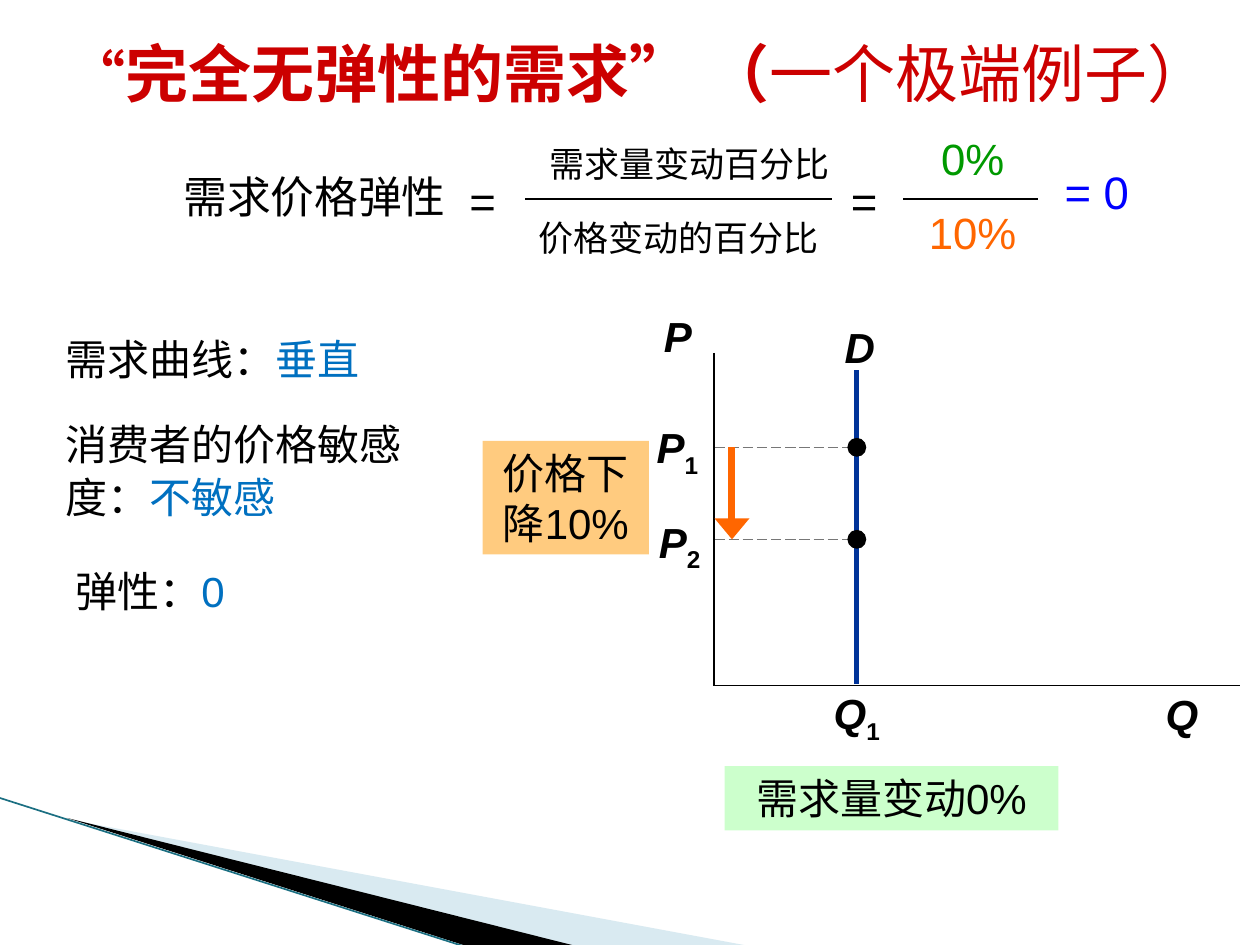
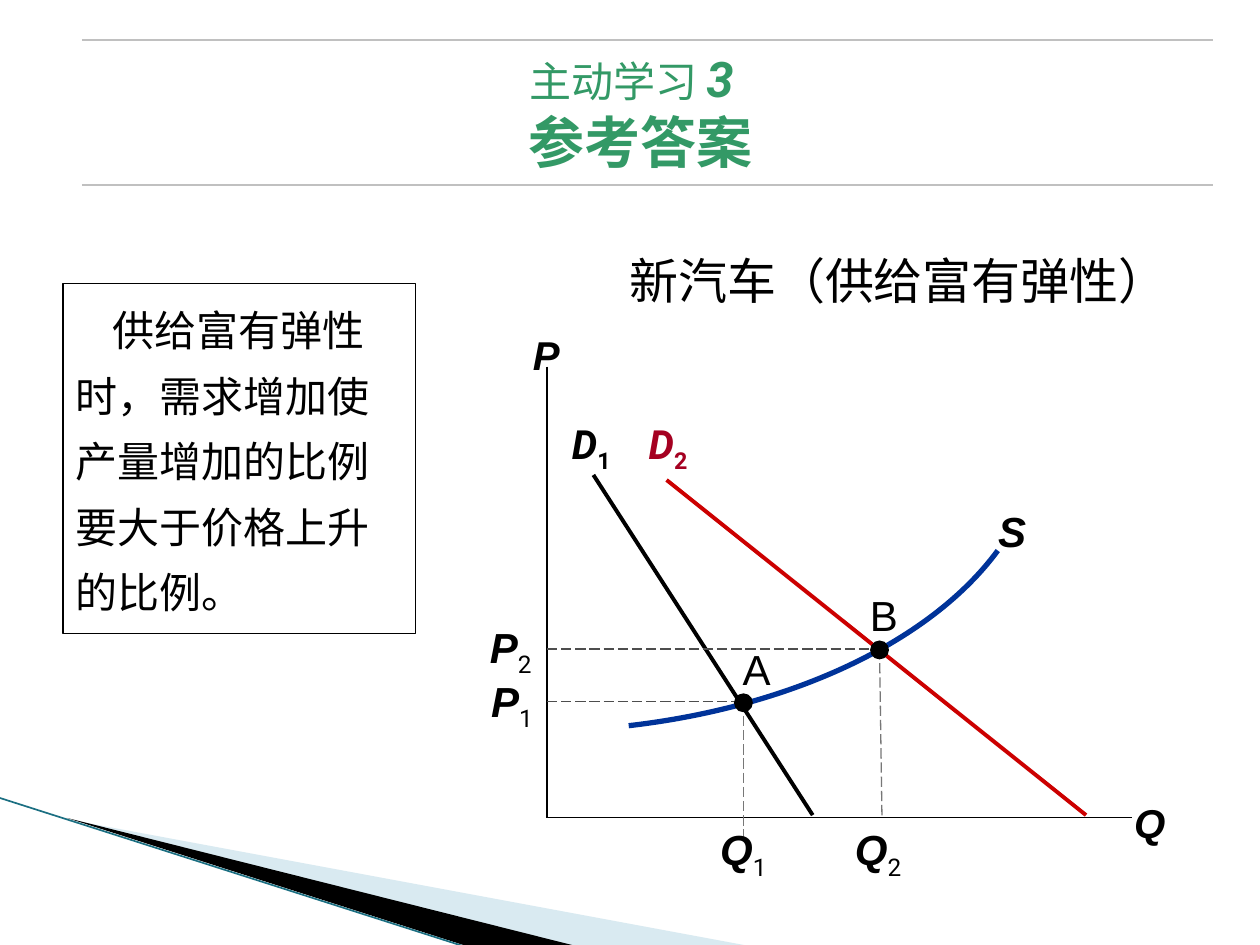
from lxml.etree import SubElement
from pptx import Presentation
from pptx.dml.color import RGBColor
from pptx.enum.dml import MSO_LINE
from pptx.enum.shapes import MSO_CONNECTOR, MSO_SHAPE
from pptx.enum.text import MSO_ANCHOR, PP_ALIGN
from pptx.oxml.ns import qn
from pptx.util import Pt

BLACK, WHITE, BLUE, RED = "000000", "FFFFFF", "003399", "CC0000"
ORANGE, GREEN, SKY = "FF6600", "339966", "0070C0"
GREY, DARK, SILVER = "777777", "4D4D4D", "C0C0C0"
LEFT, MID, RIGHT = PP_ALIGN.LEFT, PP_ALIGN.CENTER, PP_ALIGN.RIGHT
HAN, MONO = "Noto Sans CJK SC", "DejaVu Sans Mono"


def tint(target, hue):
    target.rgb = RGBColor.from_string(hue)


def paint(shape, hue, alpha=None, edge=None):
    shape.shadow.inherit = False
    shape.fill.solid()
    tint(shape.fill.fore_color, hue)
    if alpha:
        color = shape.fill._xPr.find(qn("a:solidFill"))[0]
        SubElement(color, qn("a:alpha"), val=str(alpha * 1000))
    if edge:
        tint(shape.line.color, edge)
        shape.line.width = Pt(0.75)
    else:
        shape.line.fill.background()


def part(text, size=24, hue=BLACK, font="Arial", bold=False, slant=False, base=0):
    return text, size, hue, font, bold, slant, base


def write(para, parts, align=LEFT, gap=None):
    para.alignment = align
    if gap:
        para.line_spacing = gap
    for text, size, hue, font, bold, slant, base in parts:
        run = para.add_run()
        run.text = text
        run.font.size = Pt(size)
        run.font.name = font
        run.font.bold = bold
        run.font.italic = slant
        tint(run.font.color, hue)
        props = run.font._element
        props.set("lang", "zh-CN")
        if base:
            props.set("baseline", str(base * 1000))
        SubElement(props, qn("a:ea"), typeface=HAN)


def label(slide, box, *parts, align=MID, gap=None):
    frame = slide.shapes.add_textbox(*map(Pt, box)).text_frame
    frame.word_wrap = True
    write(frame.paragraphs[0], parts, align, gap)
    return frame


def panel(slide, box, text, hue, align=MID, gap=None, font="Arial", alpha=None, edge=None):
    shape = slide.shapes.add_shape(MSO_SHAPE.RECTANGLE, *map(Pt, box))
    paint(shape, hue, alpha, edge)
    frame = shape.text_frame
    frame.word_wrap = True
    frame.vertical_anchor = MSO_ANCHOR.TOP
    write(frame.paragraphs[0], [part(text, font=font)], align, gap)
    return frame


def symbol(slide, x, y, name, sub="", size=24, align=MID, hue=BLACK,
           font="Arial", thin=False, width=48):
    parts = [part(name, size, hue, font, True, True)]
    if sub:
        parts.append(part(sub, size, hue, "Roboto" if thin else font, not thin, base=-25))
    label(slide, (x, y, width, 36), *parts, align=align)


def line(slide, x1, y1, x2, y2, hue=BLACK, width=1, dash=False, arrow=False):
    link = slide.shapes.add_connector(MSO_CONNECTOR.STRAIGHT, *map(Pt, (x1, y1, x2, y2)))
    tint(link.line.color, hue)
    link.line.width = Pt(width)
    if dash:
        link.line.dash_style = MSO_LINE.LONG_DASH
    props = link._element.spPr
    if arrow:
        SubElement(props.find(qn("a:ln")), qn("a:tailEnd"), type="triangle", w="lg", len="med")
    SubElement(props, qn("a:effectLst"))


def dash(slide, x1, y1, x2, y2, hue=GREY):
    line(slide, x1, y1, x2, y2, hue, 0.75, dash=True)


def dot(slide, x, y, size=10.8):
    box = x - size / 2, y - size / 2, size, size
    paint(slide.shapes.add_shape(MSO_SHAPE.OVAL, *map(Pt, box)), BLACK)


def trace(slide, points, close):
    first, *rest = [(Pt(x), Pt(y)) for x, y in points]
    maker = slide.shapes.build_freeform(*first)
    maker.add_line_segments(rest, close=close)
    return maker.convert_to_shape()


def curve(slide, points, hue, width):
    shape = trace(slide, points, False)
    shape.shadow.inherit = False
    shape.fill.background()
    tint(shape.line.color, hue)
    shape.line.width = Pt(width)
    track = next(shape._element.iter(qn("a:path")))
    bend = SubElement(track, qn("a:cubicBezTo"))
    for step in track.findall(qn("a:lnTo")):
        bend.append(step[0])
        track.remove(step)


def start(deck):
    slide = deck.slides.add_slide(deck.slide_layouts[6])
    paint(trace(slide, [(39.6, 468.4), (428.4, 540.6), (328.3, 540.6)], True), "A0CBDC", 40)
    paint(trace(slide, [(38.2, 467.4), (329, 540.6), (267.8, 541)], True), BLACK)
    line(slide, -0.7, 455.8, 267.1, 541.4, "1B6F82", 0.95)
    return slide


def ratio(slide):
    label(slide, (90, 95.8, 179.3, 47.5), part("需求价格弹性", 25), align=MID, gap=0.95)
    for x in (257.8, 475.9):
        label(slide, (x, 95.4, 36, 51), part("=", 26))
    label(slide, (300.2, 77.8, 188, 39), part("需求量变动百分比", 20))
    label(slide, (293.8, 120.2, 188, 39), part("价格变动的百分比", 20))
    label(slide, (509.8, 72, 92, 37.4), part("0%", 25, "009900"))
    label(slide, (509.8, 113.8, 92, 37.4), part("10%", 25, ORANGE))
    label(slide, (599.8, 90, 54, 38), part("= 0", 26, "0000FF"))
    for x1, x2 in ((300.2, 475.2), (516.2, 593.3)):
        line(slide, x1, 113.8, x2, 113.8)


def rigid(deck):
    slide = start(deck)
    frame = label(slide, (32.4, 19.4, 668.9, 49),
                  part("“", 32, RED, MONO, True),
                  part("完全无弹性的需求” （", 36, RED, MONO, True),
                  part("一个极端例子）", 36, RED, MONO), align=LEFT, gap=0.9)
    frame.vertical_anchor = MSO_ANCHOR.MIDDLE
    ratio(slide)

    left, base, demand = 408.2, 391.7, 489.6
    prices = 255.6, 308.2
    for y in prices:
        dash(slide, left, y, demand, y)
    line(slide, demand, 211.7, demand, 391, BLUE, 3)
    line(slide, left, 201.6, left, base)
    line(slide, left - 0.5, base, 708.5, base)
    for y in prices:
        dot(slide, demand, y)
    line(slide, 418.3, prices[0], 418.3, prices[1], ORANGE, 4, arrow=True)
    symbol(slide, 360, 174.2, "P", width=54.7)
    symbol(slide, 648, 390.2, "Q", width=54.7)
    symbol(slide, 467.3, 180, "D")
    symbol(slide, 466.6, 389.5, "Q", "1", width=46)
    symbol(slide, 359, 237.6, "P", "1", align=RIGHT, width=47)
    symbol(slide, 359.3, 291.6, "P", "2", align=RIGHT)

    panel(slide, (275.8, 252, 95, 64.8), "价格下降10%", "FF9900", alpha=50)
    panel(slide, (414, 437.8, 190.8, 36.7), "需求量变动0%", "CCFFCC")
    for box, name, value in (
            ((30.2, 185.8, 223.2, 41.8), "需求曲线：", "垂直"),
            ((30.2, 234, 216, 76.3), "消费者的价格敏感度：", "不敏感"),
            ((36, 318.2, 133.2, 42.5), "弹性：", "0")):
        label(slide, box, part(name), part(value, hue=SKY), align=LEFT, gap=1.05)


def answer(deck):
    slide = start(deck)
    frame = label(slide, (46, 28, 646.6, 75), part("主动学习 ", 24, GREEN, "Roboto"),
                  part("3", 28, GREEN, "Roboto", True, True))
    frame.margin_top = frame.margin_bottom = 0
    below = frame.add_paragraph()
    write(below, [part("参考答案", 32, GREEN, MONO, True)], MID)
    for para, room in zip(frame.paragraphs, (17, 7)):
        para._p.get_or_add_pPr().set("marR", str(Pt(room)))
    for y in (23, 105.8):
        line(slide, 46.8, y, 693, y, SILVER)
    label(slide, (347.8, 138.2, 331.2, 59.8), part("新汽车（供给富有弹性）", 28), gap=1.05)
    note = panel(slide, (36, 162, 201.6, 200.2),
                 "供给富有弹性时，需求增加使产量增加的比例要大于价格上升的比例。",
                 WHITE, LEFT, 1.3, HAN, edge=BLACK)
    note.paragraphs[0]._p.get_or_add_pPr().set("indent", str(Pt(21)))

    left, base = 312.5, 467.3
    line(slide, left, 209.5, left, base, width=0.75)
    line(slide, left, base, 646.6, base, width=0.75)
    symbol(slide, 295.9, 185, "P", size=23, width=32.4)
    symbol(slide, 640.8, 452.9, "Q", size=23, width=32.4)
    line(slide, 339.1, 271.4, 464.4, 465.8, width=2.25)
    curve(slide, [(359.3, 414.7), (452.9, 403.9), (532.1, 366.5), (570.2, 314.6)], BLUE, 3)
    line(slide, 380.9, 274.3, 620.6, 465.8, RED, 2.25)
    for x, sub, hue in ((313.9, "1", BLACK), (357.8, "2", "A50021")):
        symbol(slide, x, 236.2, "D", sub, 23, hue=hue, font="Roboto")
    symbol(slide, 554.4, 285.1, "S")

    for name, sub, x, y, foot, low, tag, q, p in (
            ("A", "1", 424.8, 401, 424.8, 481.7, (416.9, 364.3), 401.8, (263.5, 382.3)),
            ("B", "2", 502.6, 370.8, 504, 468, (489.6, 333.4), 478.8, (262.8, 351.4))):
        dash(slide, left, y, x, y, DARK)
        dash(slide, x, y, foot, low)
        dot(slide, x, y + 0.6)
        label(slide, (*tag, 31, 36), part(name))
        symbol(slide, q, 467.3, "Q", sub, thin=True, width=46)
        symbol(slide, *p, "P", sub, align=RIGHT, thin=True)


def main():
    deck = Presentation()
    deck.slide_width, deck.slide_height = Pt(720), Pt(540)
    rigid(deck)
    answer(deck)
    deck.save("out.pptx")


if __name__ == "__main__":
    main()
